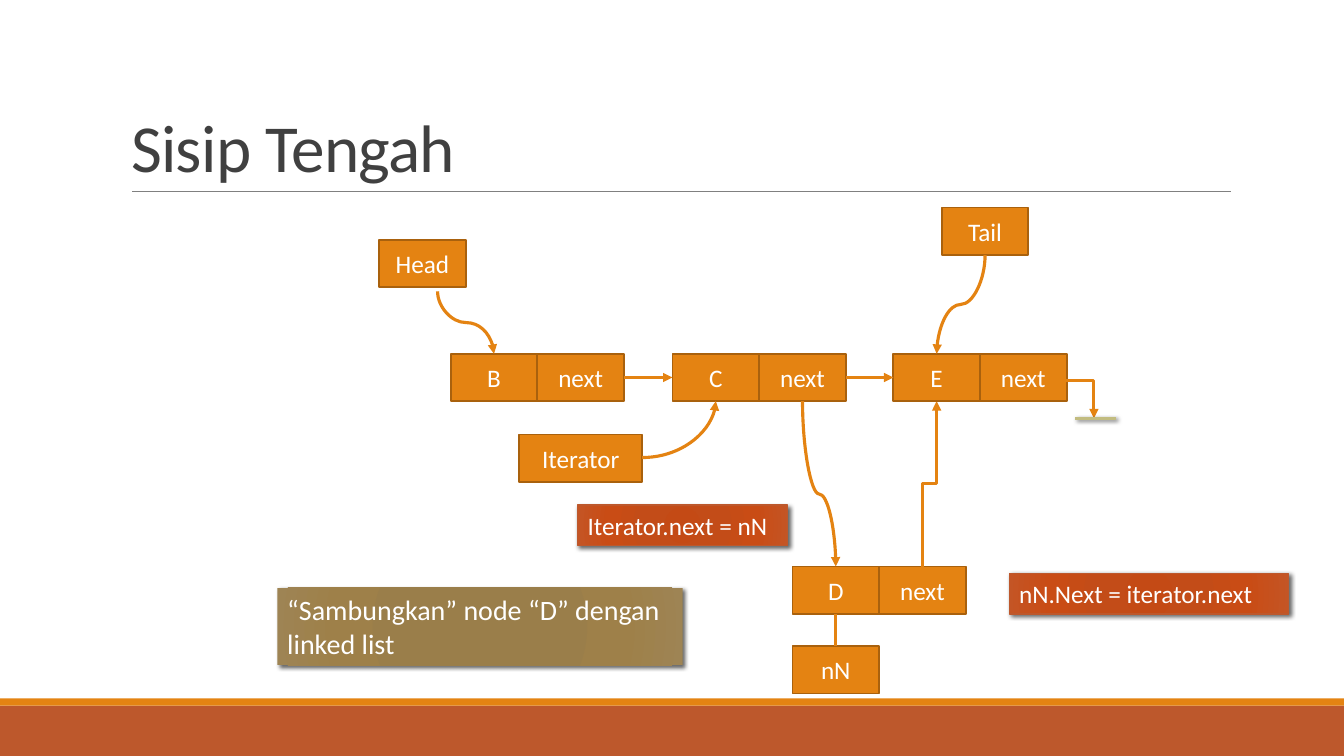
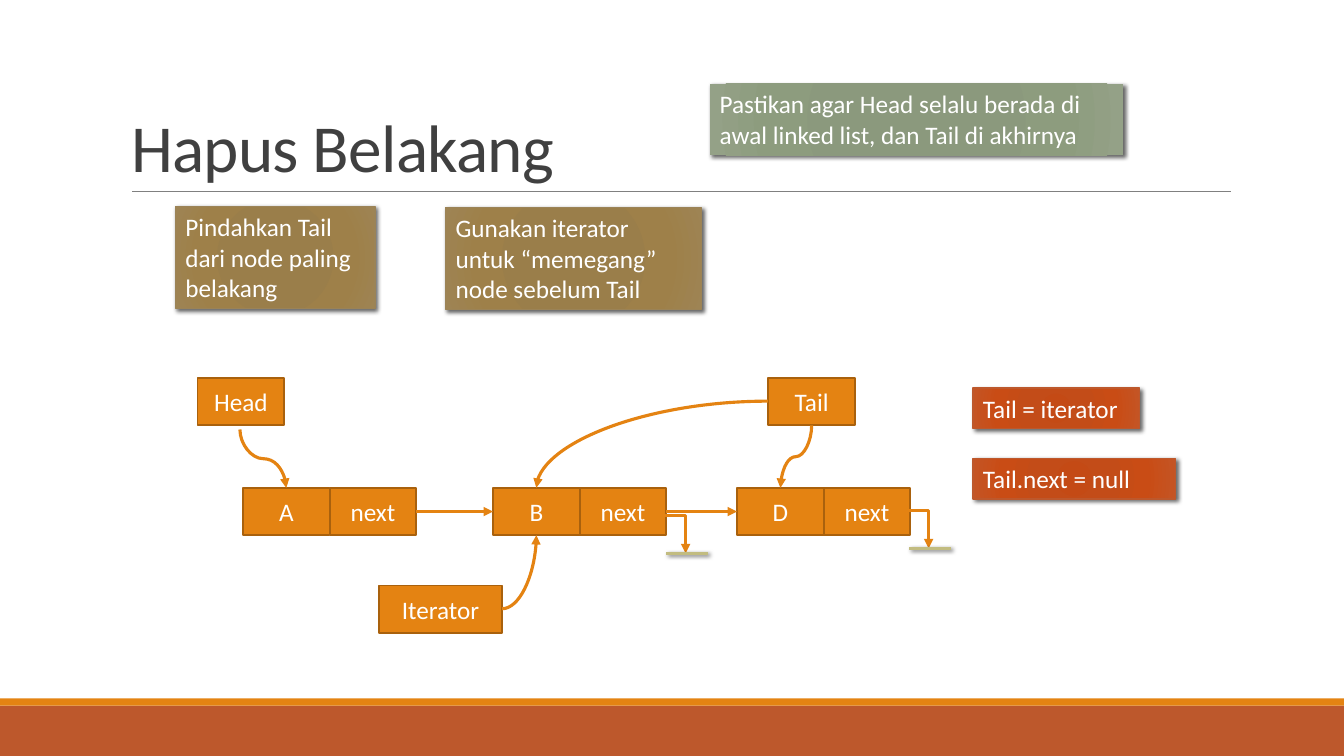
import dataclasses

import lxml.etree
import pptx
import pptx.dml.color
import pptx.enum.shapes
import pptx.enum.text
import pptx.oxml.ns
import pptx.util

PX = 9144  # EMU per px, 100 px to the inch
SLIDE_WIDTH, SLIDE_HEIGHT = 1333, 750
CELL_WIDTH, CELL_HEIGHT = 86, 47
TOP, LEFT, BOTTOM, RIGHT = range(4)  # connection sites of a rectangle

CONNECTOR = pptx.enum.shapes.MSO_CONNECTOR
ALIGN = pptx.enum.text.PP_ALIGN
ANCHOR = pptx.enum.text.MSO_ANCHOR
qn = pptx.oxml.ns.qn


@dataclasses.dataclass(frozen=True)
class Theme:
    font: str = "Calibri"
    title_size: int = 48
    text_size: int = 18
    large_size: int = 20
    title: str = "404040"
    text: str = "FFFFFF"
    rule: str = "808080"
    band: str = "BD582C"
    accent: str = "E48312"
    cell_border: str = "A9610D"
    null_mark: str = "C2BC80"
    code_border: str = "BD582C"
    hint_border: str = "9B8357"
    code: tuple = ("C44A15", "C34C18", "C94C15", "C45525")
    hint: tuple = ("9A7D48", "9A7E4A", "9E8049", "9E8454")
    reminder: tuple = ("8A987B", "8B997D", "8D9C7E", "94A187")
    gradient_stops: tuple = (0, 34, 70, 100)


THEME = Theme()


# Formatting helpers

def px(*lengths):
    return [pptx.util.Emu(round(length * PX)) for length in lengths]


def rgb(value):
    return pptx.dml.color.RGBColor.from_string(value)


def set_format(target, **values):
    for name, value in values.items():
        setattr(target, name, value)


def add_element(parent, tag, **attributes):
    element = lxml.etree.SubElement(parent, qn(tag))
    for name, value in attributes.items():
        element.set(name, str(value))
    return element


def set_line(line, colour, width):
    line.color.rgb = rgb(colour)
    line.width = pptx.util.Pt(width)


def add_shadow(effects):
    shadow = add_element(effects, "a:outerShdw", blurRad=38100, dist=25400,
                         dir=2700000, algn="tl", rotWithShape=0)
    colour = add_element(shadow, "a:srgbClr", val="000000")
    add_element(colour, "a:alpha", val=60000)


def set_gradient(shape, colours):
    shape.fill.background()
    empty_fill = shape.element.spPr.find(qn("a:noFill"))
    gradient = lxml.etree.Element(qn("a:gradFill"), rotWithShape="1")
    stops = add_element(gradient, "a:gsLst")
    for position, colour in zip(THEME.gradient_stops, colours):
        stop = add_element(stops, "a:gs", pos=position * 1000)
        add_element(stop, "a:srgbClr", val=colour)
    circle = add_element(gradient, "a:path", path="circle")
    add_element(circle, "a:fillToRect", **dict.fromkeys("ltrb", 100000))
    empty_fill.getparent().replace(empty_fill, gradient)


def write_text(shape, text, size, colour, align, anchor):
    frame = shape.text_frame
    set_format(frame, word_wrap=True, vertical_anchor=anchor)
    paragraph = frame.paragraphs[0]
    paragraph.alignment = align
    run = paragraph.add_run()
    run.text = text
    set_format(run.font, name=THEME.font, size=pptx.util.Pt(size))
    run.font.color.rgb = rgb(colour)
    return paragraph, run


# Basic parts

def add_rectangle(slide, left, top, width, height, fill=None):
    shape = slide.shapes.add_shape(pptx.enum.shapes.MSO_SHAPE.RECTANGLE,
                                   *px(left, top, width, height))
    shape.line.fill.background()
    if fill:
        shape.fill.solid()
        shape.fill.fore_color.rgb = rgb(fill)
    shape.shadow.inherit = False
    return shape


def add_line(slide, start, end, kind=CONNECTOR.STRAIGHT, colour=THEME.accent,
             width=2.25, arrow=True, shadow=False):
    connector = slide.shapes.add_connector(kind, *px(*start, *end))
    set_line(connector.line, colour, width)
    properties = connector.element.spPr
    if arrow:
        add_element(properties.find(qn("a:ln")), "a:tailEnd", type="triangle")
    effects = add_element(properties, "a:effectLst")
    if shadow:
        add_shadow(effects)
    return connector


def add_vertical_link(slide, start, end, kind=CONNECTOR.CURVE, bend=50):
    """Link that leaves and arrives vertically; bend is a percentage."""
    (x1, y1), (x2, y2) = start, end
    middle_x, middle_y = (x1 + x2) / 2, (y1 + y2) / 2
    half_run, half_rise = abs(y2 - y1) / 2, abs(x2 - x1) / 2
    connector = add_line(slide, (middle_x - half_run, middle_y - half_rise),
                         (middle_x + half_run, middle_y + half_rise), kind)
    properties = connector.element.spPr
    frame = properties.find(qn("a:xfrm"))
    downward = y2 > y1
    frame.set("rot", str((90 if downward else 270) * 60000))
    if downward == (x2 > x1):
        frame.set("flipV", "1")
    geometry = properties.find(qn("a:prstGeom"))
    for old in geometry.findall(qn("a:avLst")):
        geometry.remove(old)
    add_element(add_element(geometry, "a:avLst"), "a:gd", name="adj1",
                fmla=f"val {round(bend * 1000)}")


def add_quarter_curve(slide, start, end):
    """Curve that leaves horizontally and arrives vertically."""
    connector = add_line(slide, start, end, CONNECTOR.CURVE)
    connector.element.spPr.find(qn("a:prstGeom")).set("prst", "curvedConnector2")


def join(slide, first, first_site, second, second_site, arrow=True):
    connector = add_line(slide, (0, 0), (1, 1), arrow=arrow)
    connector.begin_connect(first, first_site)
    connector.end_connect(second, second_site)


# Linked list parts

def add_cell(slide, left, top, label, width=CELL_WIDTH):
    cell = add_rectangle(slide, left, top, width, CELL_HEIGHT, THEME.accent)
    set_line(cell.line, THEME.cell_border, 1.25)
    write_text(cell, label, THEME.text_size, THEME.text, ALIGN.CENTER, ANCHOR.MIDDLE)
    return cell


def add_node(slide, left, top, label):
    return [add_cell(slide, left + index * CELL_WIDTH, top, text)
            for index, text in enumerate((label, "next"))]


def add_iterator(slide, left, top, target):
    width = 122
    add_cell(slide, left, top, "Iterator", width)
    add_quarter_curve(slide, (left + width, top + CELL_HEIGHT // 2), target)


def add_null_end(slide, left, top):
    x, y = left + 27, top + 36
    add_vertical_link(slide, (left, top), (x, y), CONNECTOR.ELBOW, bend=-3.7)
    add_line(slide, (x - 19, y), (x + 22, y), colour=THEME.null_mark, width=2,
             arrow=False, shadow=True)


def add_note(slide, box, text, colours, border=None, size=THEME.text_size):
    note = add_rectangle(slide, *box)
    set_gradient(note, colours)
    if border:
        set_line(note.line, border, 1)
    add_shadow(note.element.spPr.find(qn("a:effectLst")))
    write_text(note, text, size, THEME.text, ALIGN.LEFT, ANCHOR.TOP)


def add_code(slide, left, top, width, text):
    add_note(slide, (left, top, width, 40), text, THEME.code, THEME.code_border)


# Shared frame

def decorate_layout(layout, slide):
    """Draw the bands and title rule, then move them to the layout."""
    parts = [
        add_rectangle(slide, 0, 700, SLIDE_WIDTH, 50, THEME.band),
        add_rectangle(slide, 0, 693, SLIDE_WIDTH, 7, THEME.accent),
        add_line(slide, (131, 190), (1221, 190), colour=THEME.rule, width=0.5,
                 arrow=False),
    ]
    for number, part in enumerate(parts, 101):
        next(part.element.iter(qn("p:cNvPr"))).set("id", str(number))
        layout.shapes.element.append(part.element)


def add_titled_slide(presentation, layout, title_text):
    slide = presentation.slides.add_slide(layout)
    title = slide.shapes.title
    left, top, width, height = px(120, 31, 1100, 159)
    set_format(title, left=left, top=top, width=width, height=height)
    title.text_frame.auto_size = pptx.enum.text.MSO_AUTO_SIZE.NONE
    paragraph, run = write_text(title, title_text, THEME.title_size, THEME.title,
                                ALIGN.LEFT, ANCHOR.BOTTOM)
    paragraph.line_spacing = 0.85
    run.font._element.set("spc", "-50")
    return slide


# Slide contents

def draw_insert_middle(slide):
    row = 351
    row_end = row + CELL_HEIGHT

    # New node
    new_value, _ = add_node(slide, 786, 562, "D")
    new_pointer = add_cell(slide, 786, 641, "nN")
    join(slide, new_pointer, TOP, new_value, BOTTOM, arrow=False)
    add_vertical_link(slide, (915, 562), (929, row_end), CONNECTOR.ELBOW)

    # Existing list
    _, b_next = add_node(slide, 447, row, "B")
    c_value, c_next = add_node(slide, 667, row, "C")
    e_value, _ = add_node(slide, 886, row, "E")
    join(slide, b_next, RIGHT, c_value, LEFT)
    join(slide, c_next, RIGHT, e_value, LEFT)
    add_null_end(slide, 1058, 379)

    # Pointers
    add_cell(slide, 376, 238, "Head")
    add_vertical_link(slide, (434, 289), (490, row))
    add_cell(slide, 934, 206, "Tail")
    add_vertical_link(slide, (977, 253), (929, row))
    add_iterator(slide, 515, 431, (710, row_end))
    add_vertical_link(slide, (796, row_end), (829, 562), bend=56.2)

    # Notes
    add_code(slide, 1001, 569, 277, "nN.Next = iterator.next")
    add_code(slide, 573, 501, 208, "Iterator.next = nN")
    add_note(slide, (275, 583, 402, 77), "“Sambungkan” node “D” dengan linked list",
             THEME.hint, size=THEME.large_size)


def draw_delete_last(slide):
    row = 484

    # List
    _, a_next = add_node(slide, 241, row, "A")
    b_value, b_next = add_node(slide, 489, row, "B")
    d_value, _ = add_node(slide, 731, row, "D")
    join(slide, a_next, RIGHT, b_value, LEFT)
    join(slide, b_next, RIGHT, d_value, LEFT)
    add_null_end(slide, 894, 508)
    add_null_end(slide, 653, 513)

    # Pointers
    add_cell(slide, 196, 375, "Head")
    add_vertical_link(slide, (238, 426), (284, row))
    add_cell(slide, 762, 375, "Tail")
    add_vertical_link(slide, (805, 422), (774, row))
    add_quarter_curve(slide, (762, 398), (532, row))
    add_iterator(slide, 376, 581, (532, row + CELL_HEIGHT))

    # Notes
    add_code(slide, 965, 385, 165, "Tail = iterator")
    add_code(slide, 965, 455, 201, "Tail.next = null")
    add_note(slide, (704, 83, 410, 71),
             "Pastikan agar Head selalu berada di awal linked list, dan Tail di akhirnya",
             THEME.reminder)
    for box, text in (
        ((174, 205, 198, 101), "Pindahkan Tail dari node paling belakang"),
        ((442, 206, 254, 101), "Gunakan iterator untuk “memegang” node sebelum Tail"),
    ):
        add_note(slide, box, text, THEME.hint, THEME.hint_border)


def main():
    presentation = pptx.Presentation()
    width, height = px(SLIDE_WIDTH, SLIDE_HEIGHT)
    set_format(presentation, slide_width=width, slide_height=height)
    layout = presentation.slide_layouts.get_by_name("Title Only")
    insert_slide = add_titled_slide(presentation, layout, "Sisip Tengah")
    decorate_layout(layout, insert_slide)
    draw_insert_middle(insert_slide)
    draw_delete_last(add_titled_slide(presentation, layout, "Hapus Belakang"))
    presentation.save("out.pptx")


if __name__ == "__main__":
    main()
